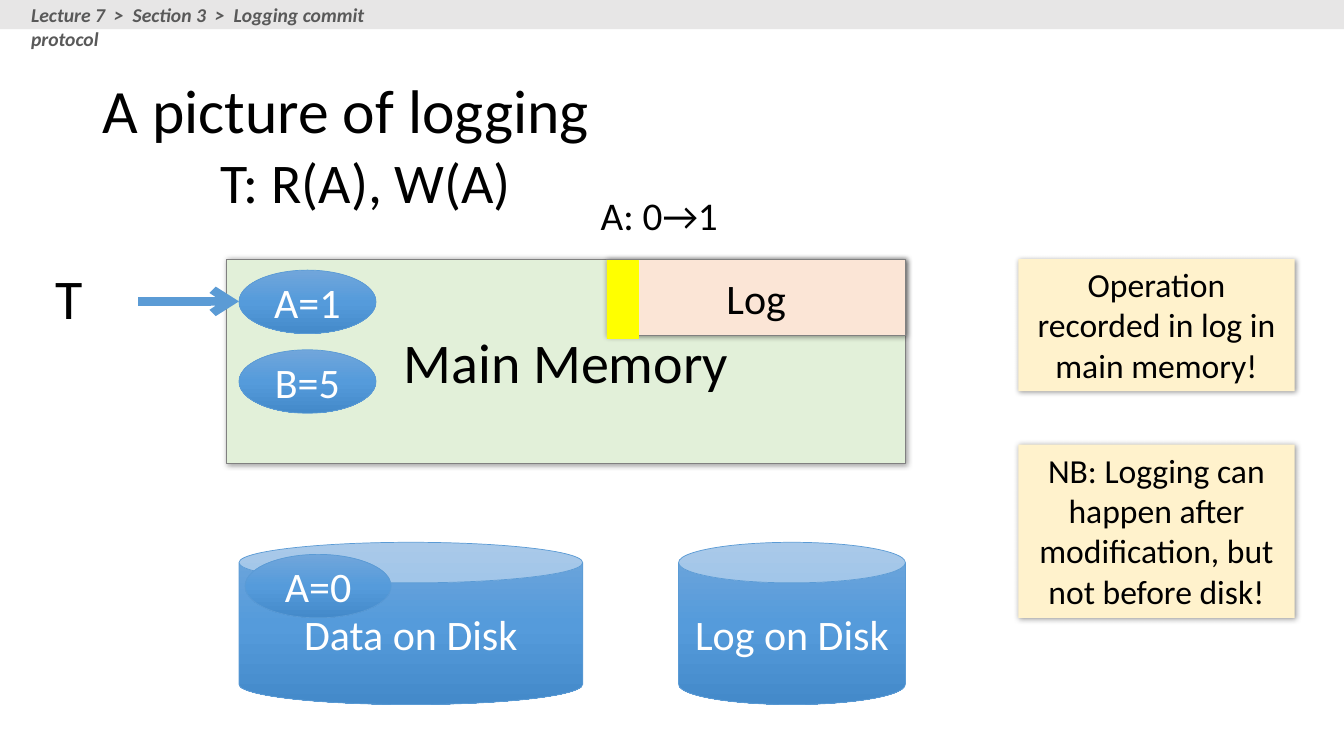
import copy
from dataclasses import dataclass
from typing import Optional

import lxml.etree
import pptx
import pptx.dml.color
import pptx.enum.shapes
import pptx.enum.text
import pptx.oxml.ns
import pptx.util

Inches = pptx.util.Inches
Shape = pptx.enum.shapes.MSO_SHAPE
Align = pptx.enum.text.PP_ALIGN
Anchor = pptx.enum.text.MSO_ANCHOR
qn = pptx.oxml.ns.qn

FONT = "Calibri"
COLORS = {
    "black": "000000",
    "white": "FFFFFF",
    "blue": "5B9BD5",
    "gray": "808080",
    "memory": "E2F0D9",
    "log": "FBE5D6",
    "record": "FFFF00",
    "note": "FFF2CC",
    "bar": "E7E6E6",
    "crumb": "595959",
}
BLUE_STOPS = [(0, "71A6DB"), (0.5, "559BDB"), (1, "448ACA")]

DISK_TOP, DISK_H = 5.38, 1.61
MEMORY_TOP = 2.57
PAGE_LEFT, PAGE_W, PAGE_H = 2.37, 1.36, 0.63
NOTE_LEFT, NOTE_W = 10.1, 2.74


@dataclass
class Box:
    left: float
    top: float
    width: float
    height: float
    text: str = ""
    size: float = 30
    color: str = "black"
    kind: Shape = Shape.RECTANGLE
    fill: Optional[str] = None
    line: Optional[str] = None
    shadow: bool = False
    anchor: Anchor = Anchor.MIDDLE


@dataclass
class Label:
    left: float
    top: float
    width: float
    height: float
    text: str
    size: float
    align: Align = Align.LEFT
    color: str = "black"
    emphasis: bool = False
    anchor: Anchor = Anchor.TOP
    spacing: float = 1.0


def rgb(name: str) -> pptx.dml.color.RGBColor:
    return pptx.dml.color.RGBColor.from_string(COLORS.get(name, name))


def write(tf, item, align: Align) -> None:
    tf.word_wrap = True
    tf.vertical_anchor = item.anchor
    p = tf.paragraphs[0]
    p.text = item.text
    p.alignment = align
    p.font.name = FONT
    p.font.size = pptx.util.Pt(item.size)
    p.font.color.rgb = rgb(item.color)


def fill_blue_gradient(sp) -> None:
    sp.fill.gradient()
    sp.fill.gradient_angle = 270
    stops = sp._element.spPr.find(qn("a:gradFill")).find(qn("a:gsLst"))
    stops.insert(1, copy.deepcopy(stops[0]))
    for stop, (position, color) in zip(sp.fill.gradient_stops, BLUE_STOPS):
        stop.position = position
        stop.color.rgb = rgb(color)


def add_soft_shadow(sp) -> None:
    effects = sp._element.spPr.find(qn("a:effectLst"))
    outer = lxml.etree.SubElement(
        effects, qn("a:outerShdw"), blurRad=str(pptx.util.Pt(4)),
        dist=str(pptx.util.Pt(1)), dir=str(45 * 60000), rotWithShape="0")
    color = lxml.etree.SubElement(outer, qn("a:srgbClr"), val=COLORS["black"])
    lxml.etree.SubElement(color, qn("a:alpha"), val="40000")


def draw_box(s, box: Box) -> None:
    sp = s.shapes.add_shape(box.kind, Inches(box.left), Inches(box.top),
                            Inches(box.width), Inches(box.height))
    sp.shadow.inherit = False
    if box.fill:
        sp.fill.solid()
        sp.fill.fore_color.rgb = rgb(box.fill)
    else:
        fill_blue_gradient(sp)
    if box.line:
        sp.line.color.rgb = rgb(box.line)
        sp.line.width = pptx.util.Pt(0.5)
    else:
        sp.line.fill.background()
    if box.shadow:
        add_soft_shadow(sp)
    if box.text:
        write(sp.text_frame, box, Align.CENTER)


def draw_label(s, label: Label) -> None:
    sp = s.shapes.add_textbox(Inches(label.left), Inches(label.top),
                              Inches(label.width), Inches(label.height))
    write(sp.text_frame, label, label.align)
    p = sp.text_frame.paragraphs[0]
    p.line_spacing = label.spacing
    p.font.bold = p.font.italic = label.emphasis


def draw_arrow(s, x1: float, x2: float, y: float) -> None:
    c = s.shapes.add_connector(pptx.enum.shapes.MSO_CONNECTOR.STRAIGHT,
                               Inches(x1), Inches(y), Inches(x2), Inches(y))
    c.line.color.rgb = rgb("blue")
    c.line.width = pptx.util.Pt(6)
    lxml.etree.SubElement(c.line._get_or_add_ln(), qn("a:tailEnd"), type="arrow")
    lxml.etree.SubElement(c._element.spPr, qn("a:effectLst"))


def disk(left: float, width: float, text: str) -> Box:
    return Box(left, DISK_TOP, width, DISK_H, text, color="white",
               kind=Shape.CAN, line="blue")


def page(top: float, text: str, left: float = PAGE_LEFT, width: float = PAGE_W) -> Box:
    return Box(left, top, width, PAGE_H, text, color="white",
               kind=Shape.OVAL, line="blue")


def note(top: float, height: float, text: str) -> Box:
    return Box(NOTE_LEFT, top, NOTE_W, height, text, 24, fill="note",
               shadow=True, anchor=Anchor.TOP)


BOXES = [
    disk(2.37, 3.41, "Data on Disk"),
    Box(2.25, MEMORY_TOP, 6.73, 2.03, "Main Memory", 40,
        fill="memory", line="gray", shadow=True),
    disk(6.73, 2.25, "Log on Disk"),
    Box(6.02, MEMORY_TOP, 2.96, 0.76, "Log", fill="log", line="gray", shadow=True),
    page(2.68, "A=1"),
    page(3.47, "B=5"),
    page(5.5, "A=0", 2.43, 1.45),
    Box(6.02, 2.58, 0.31, 0.78, fill="record", line="record"),
    note(4.41, 1.72, "NB: Logging can happen after modification, but not before disk!"),
    note(MEMORY_TOP, 1.31, "Operation recorded in log in main memory!"),
    Box(0, 0, 13.33, 0.29, fill="bar"),
]

LABELS = [
    Label(0.92, 0.4, 11.5, 1.45, "A picture of logging", 44,
          anchor=Anchor.MIDDLE, spacing=0.9),
    Label(0, MEMORY_TOP, 1.49, 0.77, "T ", 40, Align.CENTER),
    Label(1.67, 1.41, 4.04, 0.77, "T: R(A), W(A) ", 40, Align.CENTER),
    Label(5.86, 1.85, 1.87, 0.57, "A: 0→1", 28),
    Label(0.21, -0.02, 4.16, 0.34,
          "Lecture 7  >  Section 3  >  Logging commit protocol", 14,
          color="crumb", emphasis=True),
]


def main() -> None:
    prs = pptx.Presentation()
    prs.slide_width = Inches(13.33)
    prs.slide_height = Inches(7.5)
    s = prs.slides.add_slide(prs.slide_layouts[6])
    for box in BOXES:
        draw_box(s, box)
    draw_arrow(s, 1.37, PAGE_LEFT, 2.99)
    for label in LABELS:
        draw_label(s, label)
    prs.save("out.pptx")


if __name__ == "__main__":
    main()
